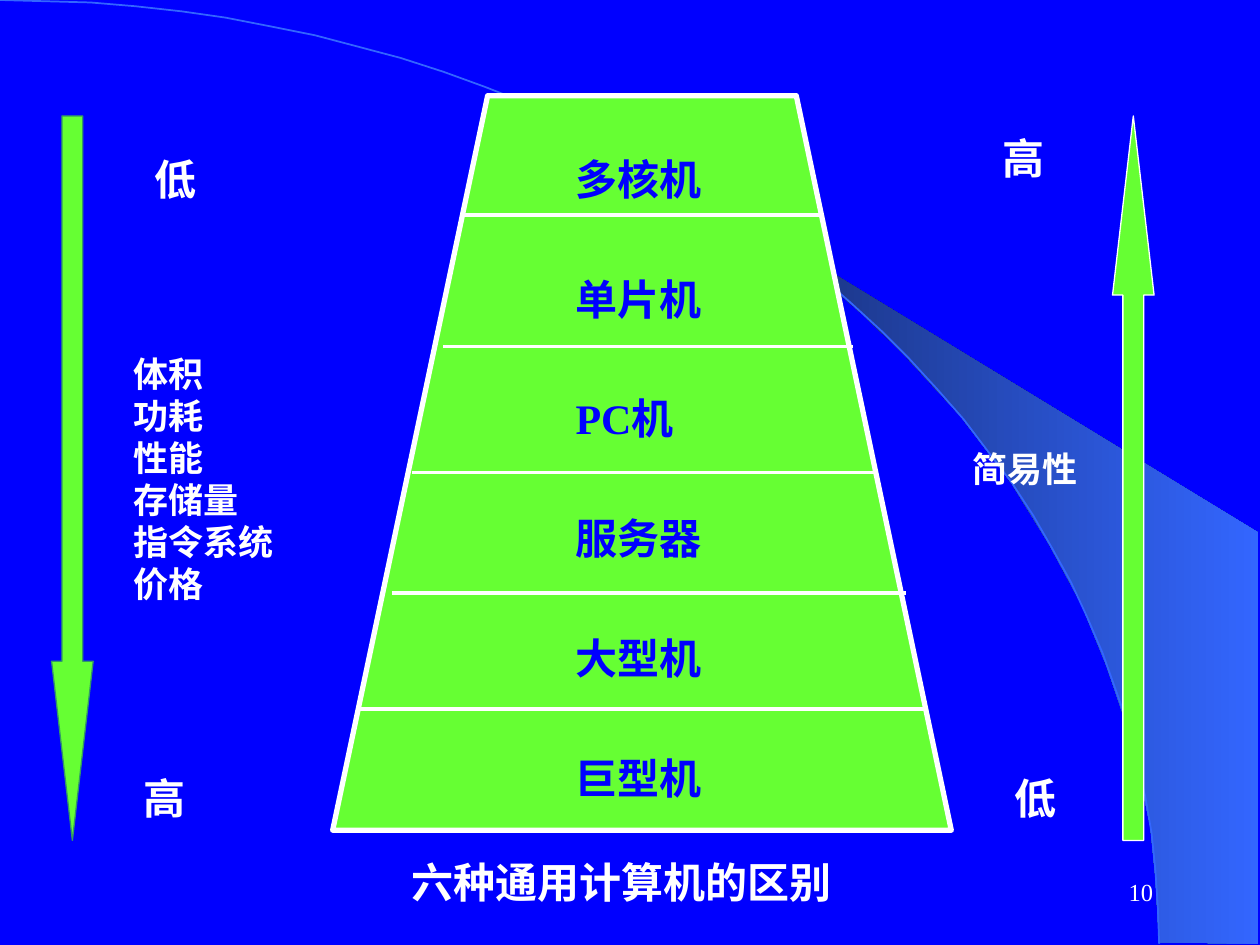
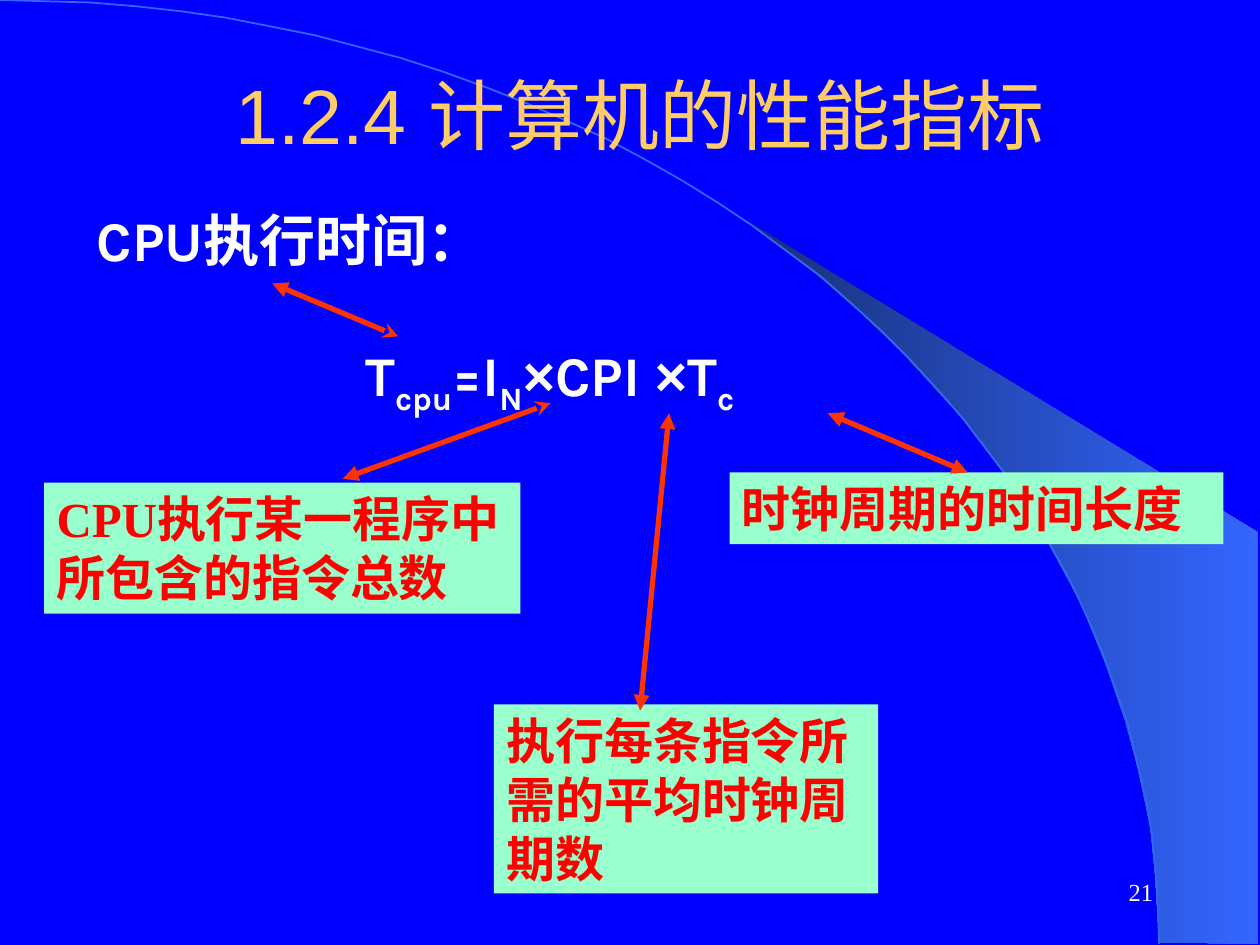
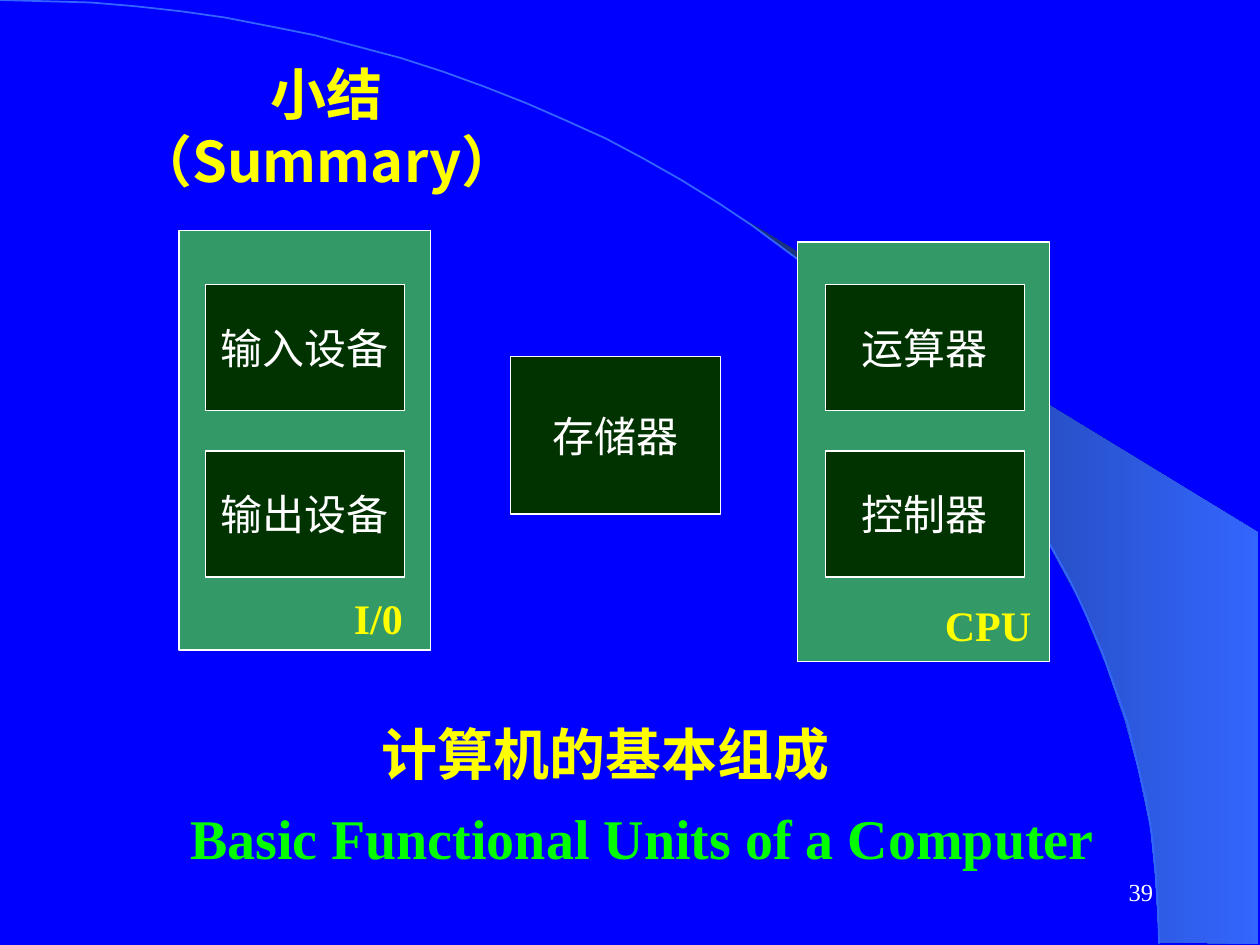
from dataclasses import dataclass
from math import cos, pi, sin

from lxml.etree import SubElement
from pptx import Presentation
from pptx.dml.color import RGBColor as Rgb
from pptx.enum.shapes import MSO_CONNECTOR as Link, MSO_SHAPE as Kind
from pptx.enum.text import MSO_ANCHOR as Anchor, MSO_AUTO_SIZE as Fit, PP_ALIGN as Align
from pptx.oxml.ns import qn
from pptx.util import Pt

PX = 9144  # EMU in one px, 100 px to the inch


@dataclass(frozen=True)
class Theme:
    blue: str = "0000FF"
    white: str = "FFFFFF"
    gold: str = "FFCC66"
    yellow: str = "FFFF00"
    lime: str = "66FF33"
    green: str = "00FF00"
    sea: str = "339966"
    dark: str = "003300"
    mint: str = "99FFCC"
    red: str = "FF0000"
    orange: str = "FF3300"
    navy: str = "182F76"
    sky: str = "3366FF"
    serif: str = "Times New Roman"
    sans: str = "Arial"
    round: str = "Karla"
    cjk: str = "Noto Sans CJK SC"
    note: int = 14
    small: int = 20
    body: int = 24
    large: int = 28
    head: int = 32
    title: int = 44
    lead: float = 1.2


T = Theme()


def is_cjk(text):
    return any(char > "⺀" for char in text)


class Deck:
    def __init__(self):
        self.prs = Presentation()
        self.prs.slide_width, self.prs.slide_height = 1000 * PX, 750 * PX
        self.page = None
        back = self.prs.slide_master.background.fill
        back.solid()
        back.fore_color.rgb = Rgb.from_string(T.blue)

    def new(self, number, titled=False):
        self.page = self.prs.slides.add_slide(self.prs.slide_layouts[5 if titled else 6])
        self.text((717, 683, 208, 50), number, size=T.note, bold=False,
                  align=Align.RIGHT, anchor=Anchor.MIDDLE)

    def style(self, run, size, color, bold, font):
        run.font.size, run.font.bold, run.font.name = Pt(size), bold, font
        run.font.color.rgb = Rgb.from_string(color)
        SubElement(run.font._element, qn("a:ea")).set("typeface", T.cjk)

    def label(self, shape, text, size=T.body, color=T.white, bold=True, font=T.serif,
              align=Align.LEFT, anchor=Anchor.TOP, wrap=True):
        frame = shape.text_frame
        frame.text = text
        frame.word_wrap, frame.auto_size = wrap, Fit.NONE
        frame.vertical_anchor = anchor
        for para in frame.paragraphs:
            para.alignment = align
            if is_cjk(para.text):
                para.line_spacing = Pt(size * T.lead)
            for run in para.runs:
                self.style(run, size, color, bold, font)

    def text(self, box, text, **look):
        shape = self.page.shapes.add_textbox(*(n * PX for n in box))
        self.label(shape, text, **look)

    def title(self, box, text, **look):
        shape = self.page.shapes.title
        shape.left, shape.top, shape.width, shape.height = (n * PX for n in box)
        self.label(shape, text, align=Align.CENTER, **look)

    def terms(self, box, parts):
        """Set a formula from (text, is subscript) pairs."""
        frame = self.page.shapes.add_textbox(*(n * PX for n in box)).text_frame
        frame.word_wrap = True
        for text, sub in parts:
            run = frame.paragraphs[0].add_run()
            run.text = text
            self.style(run, T.head, T.white, True, T.sans if text == "×" else T.round)
            if sub:
                run.font._element.set("baseline", "-25000")

    def paint(self, shape, fill, line, width):
        shape.shadow.inherit = False
        if fill:
            shape.fill.solid()
            shape.fill.fore_color.rgb = Rgb.from_string(fill)
        else:
            shape.fill.background()
        if line:
            shape.line.color.rgb = Rgb.from_string(line)
            shape.line.width = Pt(width)
        else:
            shape.line.fill.background()

    def shape(self, box, fill, line=None, kind=Kind.RECTANGLE):
        shape = self.page.shapes.add_shape(kind, *(n * PX for n in box))
        self.paint(shape, fill, line, 0.75)
        return shape

    def form(self, points, fill=None, line=None, width=1, close=True):
        pen = self.page.shapes.build_freeform(*points[0], scale=PX)
        pen.add_line_segments(points[1:], close=close)
        shape = pen.convert_to_shape()
        self.paint(shape, fill, line, width)
        return shape

    def line(self, start, end, color, width, heads=()):
        """Draw a line; heads are the arrowhead types at its start and end."""
        link = self.page.shapes.add_connector(
            Link.STRAIGHT, *(n * PX for n in (*start, *end)))
        link.line.color.rgb = Rgb.from_string(color)
        link.line.width = Pt(width)
        for tag, head in zip(("a:headEnd", "a:tailEnd"), heads):
            SubElement(link.line._get_or_add_ln(), qn(tag)).set("type", head)
        SubElement(link.element.spPr, qn("a:effectLst"))

    def swoosh(self):
        """Draw the wedge and the arc, then move them to the master."""
        wedge = self.form([
            (920, 748), (999, 749), (999, 423), (589, 173), (624, 199), (653, 222),
            (685, 250), (716, 280), (762, 330), (803, 384), (832, 431), (858, 479),
            (878, 528), (893, 572), (903, 609), (913, 656), (917, 696)], T.sky)
        wedge.fill.gradient()
        wedge.fill.gradient_angle = 0
        for stop, color in zip(wedge.fill.gradient_stops, (T.navy, T.sky)):
            stop.color.rgb = Rgb.from_string(color)
        turns = [i * pi / 80 for i in range(41)]
        arc = self.form([(round(920 * sin(t)), round(749 * (1 - cos(t)))) for t in turns],
                        line=T.sky, close=False)
        tree = self.prs.slide_master.shapes.element
        for i, part in enumerate((wedge, arc)):
            part.element.nvSpPr.cNvPr.id = 20 + i
            tree.insert(2 + i, part.element)


def levels(deck):
    deck.new("10")
    deck.swoosh()
    deck.form([(264, 659), (387, 76), (632, 76), (755, 659)], T.lime, T.white, 3)
    for left, right, y in ((369, 652, 171), (352, 677, 275), (327, 694, 375),
                           (311, 719, 471), (286, 736, 563)):
        deck.line((left, y), (right, y), T.white, 2.25)
    names = ("多核机", "单片机", "PC机", "服务器", "大型机", "巨型机")
    for i, name in enumerate(names):
        deck.text((447, 117 + 95 * i, 133, 50), name, color=T.blue)
    for x, kind, line in ((41, Kind.DOWN_ARROW, T.sea), (883, Kind.UP_ARROW, T.white)):
        arrow = deck.shape((x, 92, 33, 575), T.lime, line, kind)
        arrow.adjustments[0], arrow.adjustments[1] = 0.5, 4.31
    for x, y, mark in ((113, 117, "低"), (104, 608, "高"), (786, 100, "高"), (795, 608, "低")):
        deck.text((x, y, 50, 50), mark)
    traits = ("体积", "功耗", "性能", "存储量", "指令系统", "价格")
    deck.text((96, 275, 133, 210), "\n".join(traits), size=T.small)
    deck.text((762, 350, 133, 44), "简易性", size=T.small)
    deck.text((317, 675, 433, 50), "六种通用计算机的区别", font=T.sans)


def speed(deck):
    deck.new("21", titled=True)
    deck.title((83, 28, 850, 125), "1.2.4 计算机的性能指标", size=T.title, color=T.gold,
               bold=False, font=T.sans, anchor=Anchor.MIDDLE)
    deck.text((67, 158, 890, 64), "CPU执行时间：", size=T.head, font=T.round)
    deck.terms((280, 265, 435, 71), (
        ("T", False), ("cpu", True), ("=I", False), ("N", True), ("×", False),
        ("CPI ", False), ("×", False), ("T", False), ("c", True)))
    for box, text in (((35, 383, 378, 104), "CPU执行某一程序中所包含的指令总数"),
                      ((579, 375, 392, 57), "时钟周期的时间长度"),
                      ((392, 559, 305, 150), "执行每条指令所需的平均时钟周期数")):
        deck.label(deck.shape(box, T.mint), text, size=T.large, color=T.red)
    for start, end, tip in (((216, 225), (316, 267), "stealth"),
                            ((272, 380), (437, 320), "stealth"),
                            ((657, 328), (768, 375), "triangle"),
                            ((508, 564), (531, 328), "triangle")):
        deck.line(start, end, T.orange, 3, ("triangle", tip))


def units(deck):
    deck.new("39", titled=True)
    deck.title((56, 42, 407, 117), "小结\v（Summary）", size=T.head, color=T.yellow,
               font=T.cjk, wrap=False)
    for x, y in ((142, 183), (633, 192)):
        deck.shape((x, y, 200, 333), T.sea, T.white)
    for box, name in (((163, 226, 158, 100), "输入设备"), ((163, 358, 158, 100), "输出设备"),
                      ((655, 226, 158, 100), "运算器"), ((655, 358, 158, 100), "控制器"),
                      ((405, 283, 167, 125), "存储器")):
        deck.label(deck.shape(box, T.dark, T.white), name, bold=False,
                   align=Align.CENTER, anchor=Anchor.MIDDLE, wrap=False)
    for box, text, size, color in (
            ((271, 465, 58, 50), "I/0", T.body, T.yellow),
            ((740, 471, 88, 50), "CPU", T.body, T.yellow),
            ((293, 566, 376, 64), "计算机的基本组成", T.head, T.yellow),
            ((141, 633, 738, 64), "Basic Functional Units of a Computer", T.head, T.green)):
        deck.text(box, text, size=size, color=color, wrap=False)


def main():
    deck = Deck()
    for draw in (levels, speed, units):
        draw(deck)
    deck.prs.save("out.pptx")


if __name__ == "__main__":
    main()
